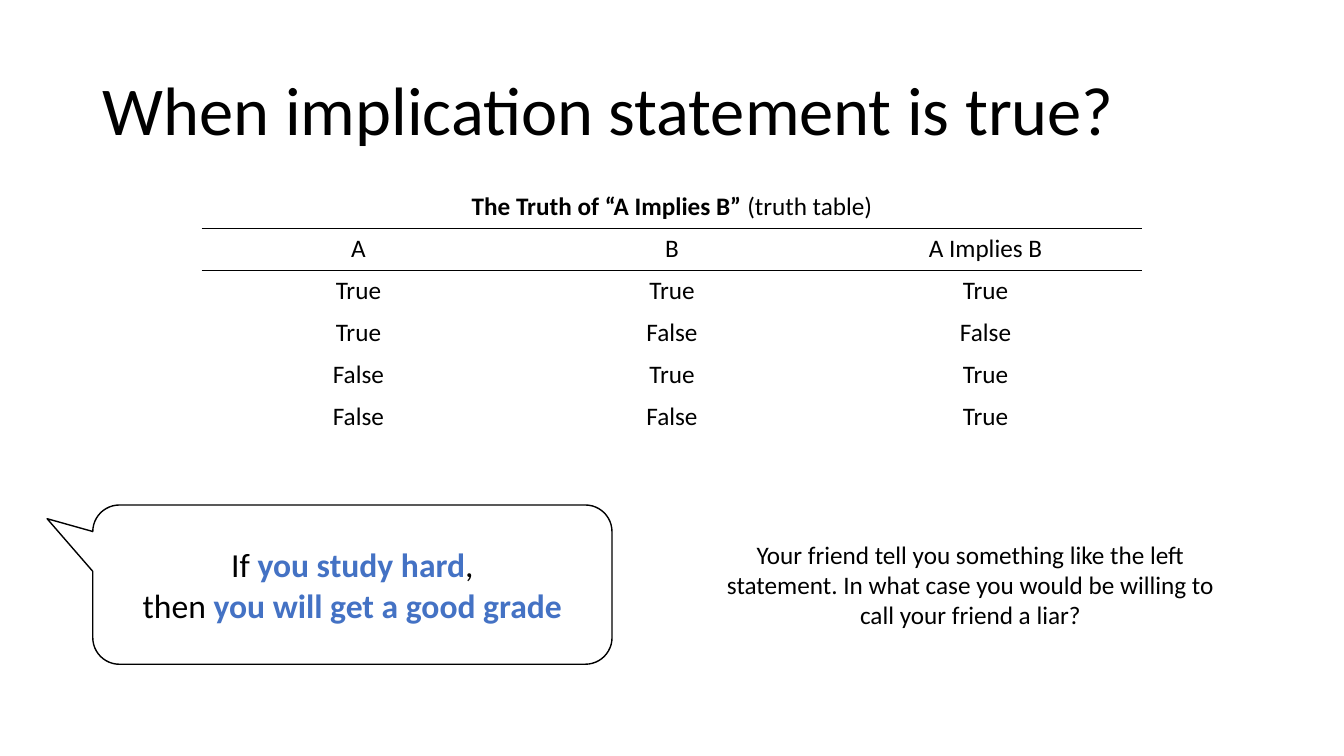
"""Build a slide on when an implication statement is true."""
from lxml import etree
from pptx import Presentation, util as u
from pptx.dml.color import RGBColor
from pptx.enum import shapes, text
from pptx.oxml import ns

COLORS = {"ink": "000000", "accent": "4472C4", "paper": "FFFFFF"}
FONT = "Calibri"
WIDTH, HEIGHT = 13.33, 7.5
MARGIN = 0.92

TITLE = "When implication statement is true?"
CAPTION = [("The Truth of “A Implies B” ", "ink", True), ("(truth table)", "ink", False)]
HEADINGS = ["A", "B", "A Implies B"]
TRUTHS = [(True, True), (True, False), (False, True), (False, False)]
PROMISE = [
    [("If ", "ink", False), ("you study hard", "accent", True), (",", "ink", False)],
    [("then ", "ink", False), ("you will get a good grade", "accent", True)],
]
QUESTION = [[(
    "Your friend tell you something like the left statement. "
    "In what case you would be willing to call your friend a liar?", "ink", False)]]

TITLE_AREA = (MARGIN, 0.4, WIDTH - 2 * MARGIN, 1.45)
TABLE_AREA = (2, 1.85, WIDTH - 4, 2.5)
PROMISE_AREA = (MARGIN, 5.01, 5.15, 1.58)
QUESTION_AREA = (6.84, 5.01, 5.57, 1.58)
CALLOUT_TAIL = (-0.588, -0.414, 0.167)
RULED_ROWS = 2


def inches(area):
    return [u.Inches(length) for length in area]


def color(name):
    return RGBColor.from_string(COLORS[name])


def write(frame, lines, size, align=text.PP_ALIGN.CENTER):
    frame.word_wrap = True
    frame.vertical_anchor = text.MSO_ANCHOR.MIDDLE
    for index, line in enumerate(lines):
        para = frame.add_paragraph() if index else frame.paragraphs[0]
        para.alignment = align
        para.font.name, para.font.size = FONT, u.Pt(size)
        for words, ink, bold in line:
            span = para.add_run()
            span.text = words
            span.font.bold = bold
            span.font.color.rgb = color(ink)


def set_borders(cell, ruled):
    properties = cell._tc.get_or_add_tcPr()
    for side in ("L", "R", "T", "B"):
        edge = etree.SubElement(properties, ns.qn(f"a:ln{side}"), w=str(u.Pt(1)))
        if side in ruled:
            fill = etree.SubElement(edge, ns.qn("a:solidFill"))
            etree.SubElement(fill, ns.qn("a:srgbClr"), val=COLORS["ink"])
        else:
            etree.SubElement(edge, ns.qn("a:noFill"))


def add_truth_table(page):
    rows = [[CAPTION], [[(name, "ink", False)] for name in HEADINGS]]
    for a, b in TRUTHS:
        rows.append([[(str(value), "ink", False)] for value in (a, b, not a or b)])
    table = page.shapes.add_table(len(rows), len(HEADINGS), *inches(TABLE_AREA)).table
    table.first_row = table.horz_banding = False
    table.cell(0, 0).merge(table.cell(0, len(HEADINGS) - 1))
    for r, row in enumerate(rows):
        ruled = ("T" if 0 < r <= RULED_ROWS else "") + ("B" if r < RULED_ROWS else "")
        for c in range(len(HEADINGS)):
            cell = table.cell(r, c)
            set_borders(cell, ruled)
            cell.fill.background()
            if c < len(row):
                write(cell.text_frame, [row[c]], 18)
                cell.vertical_anchor = text.MSO_ANCHOR.TOP


def add_box(page, kind, area, lines, size):
    box = page.shapes.add_shape(kind, *inches(area))
    box.shadow.inherit = False
    write(box.text_frame, lines, size)
    return box


def main():
    deck = Presentation()
    deck.slide_width, deck.slide_height = inches((WIDTH, HEIGHT))
    page = deck.slides.add_slide(deck.slide_layouts.get_by_name("Title Only"))

    title = page.shapes.title
    title.left, title.top, title.width, title.height = inches(TITLE_AREA)
    write(title.text_frame, [[(TITLE, "ink", False)]], 48.9, text.PP_ALIGN.LEFT)
    title.text_frame.auto_size = text.MSO_AUTO_SIZE.NONE
    title.text_frame.paragraphs[0].line_spacing = 0.9

    add_truth_table(page)

    kinds = shapes.MSO_SHAPE
    promise = add_box(page, kinds.ROUNDED_RECTANGULAR_CALLOUT, PROMISE_AREA, PROMISE, 24)
    promise.fill.background()
    promise.line.color.rgb = color("ink")
    promise.line.width = u.Pt(1)
    for index, value in enumerate(CALLOUT_TAIL):
        promise.adjustments[index] = value

    question = add_box(page, kinds.ROUNDED_RECTANGLE, QUESTION_AREA, QUESTION, 18)
    question.fill.solid()
    question.fill.fore_color.rgb = color("paper")
    question.line.fill.background()

    deck.save("out.pptx")


if __name__ == "__main__":
    main()
